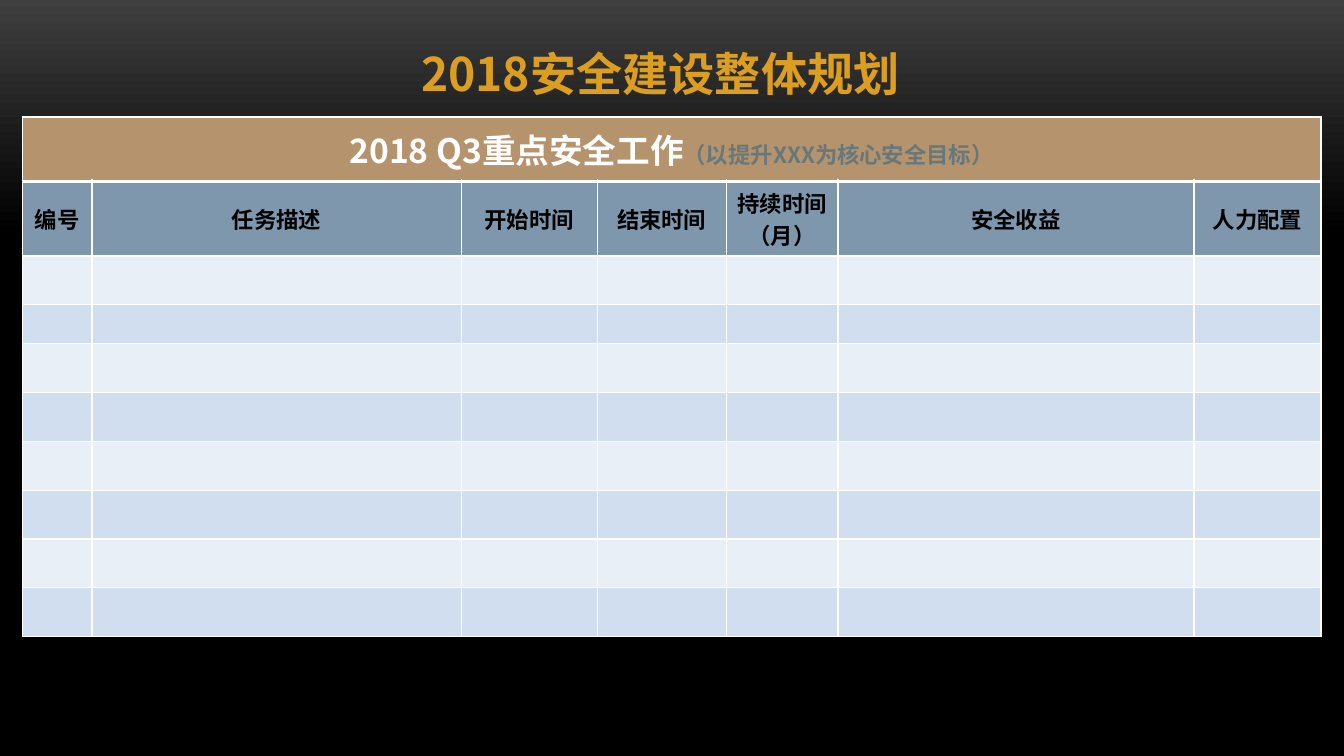
"""Build the 2018 security plan slide with its quarterly task table."""
from lxml.etree import SubElement
from pptx import Presentation
from pptx.dml.color import RGBColor
from pptx.enum.text import MSO_ANCHOR, MSO_AUTO_SIZE, PP_ALIGN
from pptx.oxml.ns import qn
from pptx.util import Cm, Pt

FONT = "Noto Sans CJK SC"
TITLE = "2018安全建设整体规划"
BANNER = [("2018 Q3重点安全工作", 24, "FFFFFF"), ("（以提升XXX为核心安全目标）", 16, "67787B")]
COLUMNS = [
    ("编号", 1.76),
    ("任务描述", 9.3),
    ("开始时间", 3.43),
    ("结束时间", 3.25),
    ("持续时间（月）", 2.82),
    ("安全收益", 8.97),
    ("人力配置", 3.2),
]
ROW_HEIGHTS = [1.62, 1.61, 1.23, 0.98] + [1.23] * 6
BANNER_FILL, HEADER_FILL = "B4936D", "7E97AD"
BAND_FILLS = ["E9EFF7", "D0DEEF"]
TABLE_LEFT, TABLE_TOP = 0.56, 2.95


def color(value):
    return RGBColor.from_string(value)


def add_run(paragraph, text, size, text_color):
    paragraph.alignment = PP_ALIGN.CENTER
    run = paragraph.add_run()
    run.text = text
    run.font.size = Pt(size)
    run.font.bold = True
    run.font.name = FONT
    run.font.color.rgb = color(text_color)
    SubElement(run._r.get_or_add_rPr(), qn("a:ea"), typeface=FONT)


def style_cell(cell, fill, bottom_width=1):
    properties = cell._tc.get_or_add_tcPr()
    for side, width in (("L", 1), ("R", 1), ("T", 1), ("B", bottom_width)):
        border = SubElement(properties, qn(f"a:ln{side}"), w=str(Pt(width)))
        SubElement(SubElement(border, qn("a:solidFill")), qn("a:srgbClr"), val="FFFFFF")
    cell.fill.solid()
    cell.fill.fore_color.rgb = color(fill)
    cell.vertical_anchor = MSO_ANCHOR.MIDDLE


def set_background(slide):
    fill = slide.background.fill
    fill.gradient()
    fill.gradient_angle = 270
    for stop, (position, shade) in zip(fill.gradient_stops, [(0, "3F3F3F"), (0.31, "000000")]):
        stop.position = position
        stop.color.rgb = color(shade)


def add_title(slide):
    title = slide.shapes.title
    title.left, title.top, title.width, title.height = Cm(9.75), Cm(0.99), Cm(13.79), Cm(1.68)
    frame = title.text_frame
    frame.word_wrap = True
    frame.auto_size = MSO_AUTO_SIZE.NONE
    frame.vertical_anchor = MSO_ANCHOR.MIDDLE
    frame.margin_left = frame.margin_right = frame.margin_top = frame.margin_bottom = Cm(0.13)
    add_run(frame.paragraphs[0], TITLE, 33, "DC9E1F")


def add_plan(slide):
    width = sum(column_width for _, column_width in COLUMNS)
    plan = slide.shapes.add_table(
        len(ROW_HEIGHTS), len(COLUMNS),
        Cm(TABLE_LEFT), Cm(TABLE_TOP), Cm(width), Cm(sum(ROW_HEIGHTS)),
    ).table
    for row, height in zip(plan.rows, ROW_HEIGHTS):
        row.height = Cm(height)
    for index, (heading, column_width) in enumerate(COLUMNS):
        plan.columns[index].width = Cm(column_width)
        style_cell(plan.cell(0, index), BANNER_FILL, 3)
        header = plan.cell(1, index)
        style_cell(header, HEADER_FILL)
        add_run(header.text_frame.paragraphs[0], heading, 16, "000000")
        for row_index in range(2, len(ROW_HEIGHTS)):
            task = plan.cell(row_index, index)
            style_cell(task, BAND_FILLS[row_index % 2])
            task.text_frame.paragraphs[0].font.size = Pt(12)
    banner = plan.cell(0, 0)
    banner.merge(plan.cell(0, len(COLUMNS) - 1))
    for text, size, text_color in BANNER:
        add_run(banner.text_frame.paragraphs[0], text, size, text_color)


def main():
    deck = Presentation()
    deck.slide_width, deck.slide_height = Cm(33.87), Cm(19.05)
    slide = deck.slides.add_slide(deck.slide_layouts[5])
    set_background(slide)
    add_title(slide)
    add_plan(slide)
    deck.save("out.pptx")


if __name__ == "__main__":
    main()
